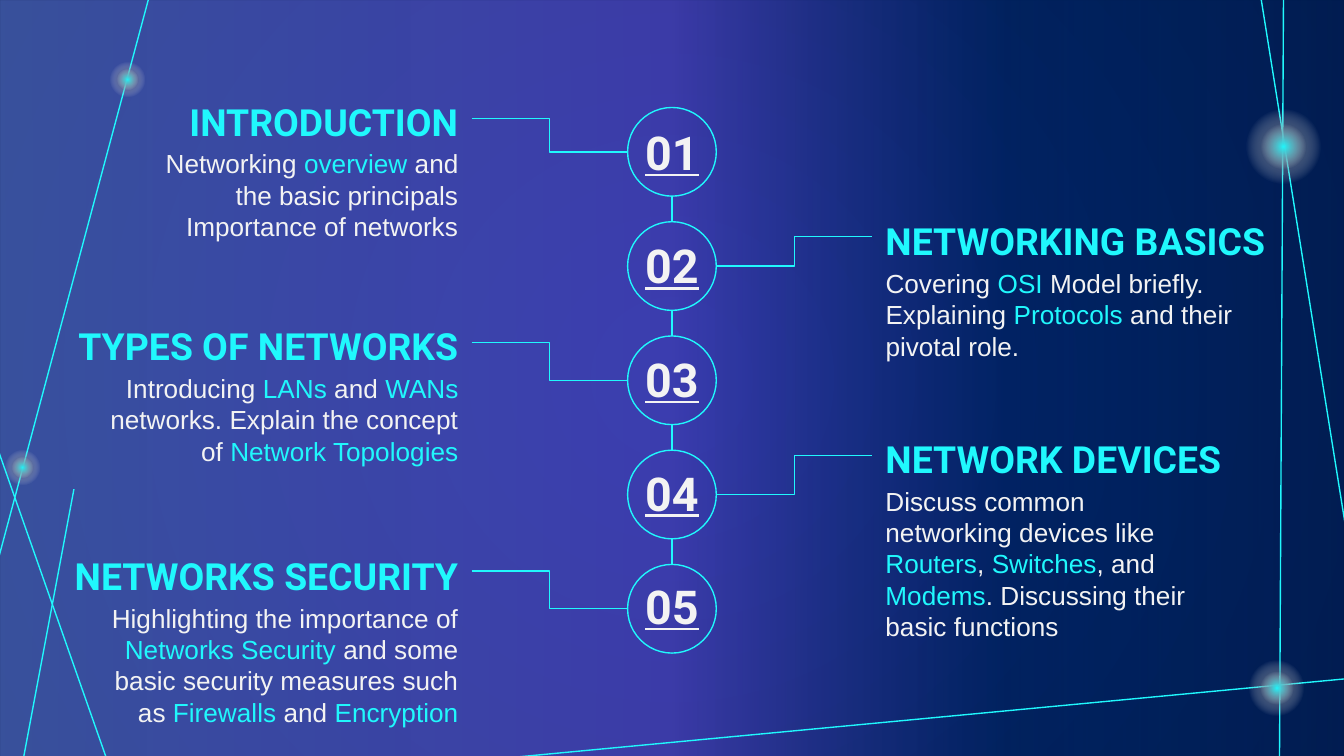
from lxml import etree
from pptx import Presentation
from pptx.dml.color import RGBColor
from pptx.enum.shapes import MSO_CONNECTOR as Connector, MSO_SHAPE as Shape
from pptx.enum.text import MSO_ANCHOR as Anchor, MSO_AUTO_SIZE as AutoSize, PP_ALIGN as Align
from pptx.oxml import parse_xml
from pptx.oxml.ns import nsdecls, qn
from pptx.util import Inches, Pt

CYAN, WHITE, NAVY, DEEP_NAVY = "20F8FD", "F3F3F3", "012060", "00183A"
WIDTH, HEIGHT = 10, 10 * 9 / 16
RADIAL = ('<a:path path="circle"><a:fillToRect l="50000" t="50000" '
          'r="50000" b="50000"/></a:path>')
LINEAR = '<a:lin ang="0" scaled="0"/>'


def color(value):
    return RGBColor.from_string(value)


def gradient(stops, direction=RADIAL):
    """Build a gradient from (position, colour, opacity) stops in percent."""
    marks = "".join(
        f'<a:gs pos="{position * 1000}"><a:srgbClr val="{value}">'
        f'<a:alpha val="{opacity * 1000}"/></a:srgbClr></a:gs>'
        for position, value, opacity in stops)
    return parse_xml(f'<a:gradFill {nsdecls("a")} rotWithShape="1">'
                     f'<a:gsLst>{marks}</a:gsLst>{direction}</a:gradFill>')


class Deck:
    heading_font, body_font = "Roboto", "Arial"
    line_width = Pt(0.75)

    def __init__(self, width, height):
        self.presentation = Presentation()
        self.presentation.slide_width = Inches(width)
        self.presentation.slide_height = Inches(height)
        self.slide = self.presentation.slides.add_slide(
            self.presentation.slide_layouts[5])
        self.shapes = self.slide.shapes

    def background(self, stops):
        self.slide.background.fill.solid()
        properties = self.slide.element.find(".//" + qn("p:bgPr"))
        properties.replace(properties[0], gradient(stops))

    def shape(self, kind, left, top, width, height, fill=None, outline=None):
        shape = self.shapes.add_shape(
            kind, Inches(left), Inches(top), Inches(width), Inches(height))
        shape.shadow.inherit = False
        shape.fill.background()
        if fill is not None:
            properties = shape.element.spPr
            properties.replace(properties.find(qn("a:noFill")), fill)
        if outline:
            shape.line.color.rgb = color(outline)
            shape.line.width = self.line_width
        else:
            shape.line.fill.background()
        return shape

    def line(self, start, end, kind=Connector.STRAIGHT):
        line = self.shapes.add_connector(
            kind, *(Inches(value) for value in (*start, *end)))
        line.line.color.rgb = color(CYAN)
        line.line.width = self.line_width
        etree.SubElement(line.element.spPr, qn("a:effectLst"))

    def glow(self, x, y, size):
        """Draw a wide halo with a smaller bright core at its centre."""
        for center, diameter in ((DEEP_NAVY, size), (CYAN, size * 0.6)):
            fill = gradient([(0, center, 100), (50, WHITE, 0), (100, WHITE, 0)])
            self.shape(Shape.OVAL, x - diameter / 2, y - diameter / 2,
                       diameter, diameter, fill)

    def text(self, content, box, size, font, text_color, align=Align.LEFT,
             anchor=Anchor.TOP, heading=False, underline=None, shape=None):
        """Write text; parts between asterisks are shown in cyan."""
        box = [Inches(value) for value in box]
        if shape is None:
            shape = self.shapes.add_textbox(*box)
        else:
            shape.left, shape.top, shape.width, shape.height = box
            self.shapes.element.append(shape.element)
        frame = shape.text_frame
        frame.word_wrap, frame.auto_size = True, AutoSize.NONE
        frame.vertical_anchor = anchor
        frame.margin_left = frame.margin_right = Inches(0.1)
        frame.margin_top = frame.margin_bottom = Inches(0.1)
        paragraph = frame.paragraphs[0]
        paragraph.alignment, paragraph.line_spacing = align, 1.0
        style = paragraph.font
        style.name, style.size = font, Pt(size)
        style.bold, style.underline = heading, underline
        style.color.rgb = color(text_color)
        for index, part in enumerate(content.split("*")):
            if part:
                run = paragraph.add_run()
                run.text = part
                if index % 2:
                    run.font.color.rgb = color(CYAN)

    def heading(self, content, box, align, shape=None):
        self.text(content, box, 20, self.heading_font, CYAN, align,
                  Anchor.BOTTOM, heading=True, shape=shape)

    def body(self, content, box, align):
        self.text(content, box, 14, self.body_font, WHITE, align)

    def number(self, content, box):
        self.text(content, box, 25, self.heading_font, WHITE, Align.CENTER,
                  heading=True, underline=True)


deck = Deck(WIDTH, HEIGHT)

# Background: radial navy under a translucent wash
deck.background([(0, NAVY, 100), (100, DEEP_NAVY, 100)])
deck.shape(Shape.RECTANGLE, 0, 0, WIDTH, HEIGHT, gradient(
    [(0, "748BFF", 49), (50, "7659FF", 50), (75, "022E88", 35), (100, NAVY, 60)],
    LINEAR))

# Network of lines and glowing nodes along the edges
for start, end in [
    ((9.38, -0.03), (10.02, 3.97)),
    ((9.55, -0.06), (9.52, 5.73)),
    ((3.77, 5.64), (10.13, 5.04)),
    ((-0.01, 3.36), (0.83, 5.75)),
    ((0.16, 5.72), (0.55, 3.64)),
    ((1.13, -0.1), (-0.01, 4.15)),
]:
    deck.line(start, end)
for x, y, size in [(9.55, 1.09, 0.79), (9.5, 5.12, 0.58),
                   (0.17, 3.48, 0.37), (0.95, 0.59, 0.37)]:
    deck.glow(x, y, size)

# Topics: heading, heading top, heading width, body, body width, body height, elbow y
TOPICS = [
    ("INTRODUCTION", 0.59, 2.72,
     "Networking *overview* and the basic principals Importance of networks",
     2.56, 0.66, 0.88),
    ("NETWORKING BASICS", 1.48, 3.26,
     "Covering *OSI* Model briefly. Explaining *Protocols* and their pivotal role.",
     3.09, 0.66, 1.76),
    ("TYPES OF NETWORKS", 2.26, 3.09,
     "Introducing *LANs* and *WANs *networks. Explain the concept of "
     "*Network Topologies*", 2.84, 0.86, 2.55),
    ("NETWORK DEVICES", 3.1, 2.8,
     "Discuss common networking devices like *Routers*, *Switches*, and *Modems*. "
     "Discussing their basic functions", 2.56, 1.34, 3.39),
    ("NETWORKS SECURITY", 3.97, 3.18,
     "Highlighting the importance of *Networks Security *and some basic security "
     "measures such as *Firewalls *and *Encryption*", 2.93, 1.1, 4.25),
]
LEFT_EDGE, RIGHT_EDGE, CENTER = 3.51, 6.49, 5
DIAMETER, FIRST_TOP, STEP = 0.66, 0.8, 0.85
RADIUS = DIAMETER / 2

for index, (title, title_top, title_width, body, body_width, body_height,
            elbow_y) in enumerate(TOPICS):
    on_left = index % 2 == 0
    align = Align.RIGHT if on_left else Align.LEFT
    circle_top = FIRST_TOP + index * STEP
    circle_middle = circle_top + RADIUS

    # Text beside the column
    title_left = LEFT_EDGE - title_width if on_left else RIGHT_EDGE
    body_left = LEFT_EDGE - body_width if on_left else RIGHT_EDGE
    deck.heading(title, (title_left, title_top, title_width, 0.58), align,
                 deck.shapes.title if index == 0 else None)
    deck.body(body, (body_left, title_top + 0.41, body_width, body_height), align)

    # Numbered circle and its links
    deck.number(f"{index + 1:02}", (4.43, 0.82 + index * 0.845, 1.14, 0.61))
    deck.shape(Shape.OVAL, CENTER - RADIUS, circle_top, DIAMETER, DIAMETER,
               outline=CYAN)
    if index:
        deck.line((CENTER, circle_top - STEP + DIAMETER), (CENTER, circle_top))
    if on_left:
        deck.line((LEFT_EDGE, elbow_y), (CENTER - RADIUS, circle_middle),
                  Connector.ELBOW)
    else:
        deck.line((CENTER + RADIUS, circle_middle), (RIGHT_EDGE, elbow_y),
                  Connector.ELBOW)

deck.presentation.save("out.pptx")
